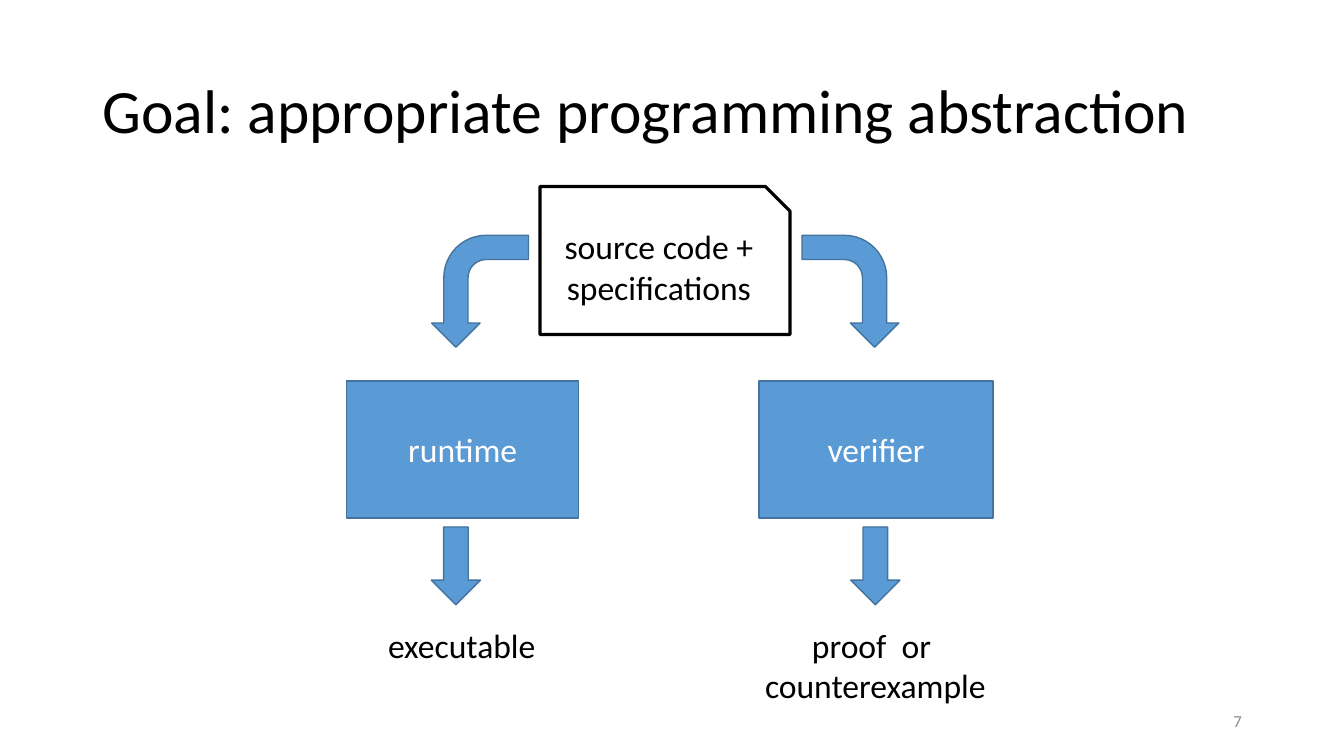
from dataclasses import dataclass

from pptx import Presentation
from pptx.dml.color import RGBColor
from pptx.enum import shapes, text
from pptx.util import Cm, Pt

BLACK, WHITE, GREY = "000000", "FFFFFF", "8C8C8C"
BLUE, DARK_BLUE = "5B9BD5", "43739E"
CENTER, LEFT, RIGHT = text.PP_ALIGN.CENTER, text.PP_ALIGN.LEFT, text.PP_ALIGN.RIGHT
MIDDLE, TOP = text.MSO_ANCHOR.MIDDLE, text.MSO_ANCHOR.TOP
KIND = shapes.MSO_SHAPE


@dataclass(frozen=True)
class Box:
    left: float
    top: float
    width: float
    height: float

    def lengths(self) -> list:
        return [Cm(v) for v in (self.left, self.top, self.width, self.height)]


@dataclass(frozen=True)
class Block:
    kind: int
    box: Box
    words: str = ""
    fill: str = BLUE
    line: str = DARK_BLUE
    line_width: float = 1
    ink: str = WHITE
    rotation: int = 0
    mirrored: bool = False


@dataclass(frozen=True)
class Label:
    box: Box
    words: str
    align: int = CENTER
    anchor: int = TOP
    size: int = 24
    ink: str = BLACK
    wrap: bool = False


def colour(value: str) -> RGBColor:
    return RGBColor.from_string(value)


def apply(target, settings: dict) -> None:
    for name, value in settings.items():
        setattr(target, name, value)


def write(frame, words: str, size: int, ink: str, paragraph_format: dict, frame_format: dict) -> None:
    frame.text = words
    apply(frame, frame_format)
    for paragraph in frame.paragraphs:
        apply(paragraph, paragraph_format)
        for run in paragraph.runs:
            apply(run.font, {"name": "Calibri", "size": Pt(size)})
            run.font.color.rgb = colour(ink)


def draw_block(slide, block: Block) -> None:
    shape = slide.shapes.add_shape(block.kind, *block.box.lengths())
    shape.shadow.inherit = False
    shape.fill.solid()
    shape.fill.fore_color.rgb = colour(block.fill)
    shape.line.color.rgb = colour(block.line)
    shape.line.width = Pt(block.line_width)
    shape.rotation = block.rotation
    if block.mirrored:
        shape.element.spPr.xfrm.set("flipH", "1")
    if block.words:
        write(shape.text_frame, block.words, 24, block.ink,
              {"alignment": CENTER}, {"word_wrap": True, "vertical_anchor": MIDDLE})


def draw_label(slide, label: Label) -> None:
    holder = slide.shapes.add_textbox(*label.box.lengths())
    write(holder.text_frame, label.words, label.size, label.ink,
          {"alignment": label.align},
          {"word_wrap": label.wrap, "vertical_anchor": label.anchor})


def draw_title(slide, words: str, box: Box) -> None:
    title = slide.shapes.title
    apply(title, dict(zip(("left", "top", "width", "height"), box.lengths())))
    write(title.text_frame, words, 44, BLACK,
          {"alignment": LEFT, "line_spacing": 0.9},
          {"word_wrap": True, "vertical_anchor": MIDDLE, "auto_size": text.MSO_AUTO_SIZE.NONE})


BLOCKS = [
    Block(KIND.SNIP_1_RECTANGLE, Box(13.61, 4.7, 6.3, 3.73), "source code + specifications",
          WHITE, BLACK, 2.25, BLACK),
    Block(KIND.RECTANGLE, Box(19.13, 9.6, 5.9, 3.45), "verifier"),
    Block(KIND.RECTANGLE, Box(8.74, 9.6, 5.84, 3.45), "runtime"),
    Block(KIND.BENT_ARROW, Box(20.02, 6.12, 2.82, 2.44), rotation=90),
    Block(KIND.BENT_ARROW, Box(10.69, 6.12, 2.82, 2.44), rotation=270, mirrored=True),
    Block(KIND.DOWN_ARROW, Box(21.44, 13.28, 1.24, 1.96)),
    Block(KIND.DOWN_ARROW, Box(10.87, 13.28, 1.24, 1.96)),
]

LABELS = [
    Label(Box(19, 15.62, 6.12, 2.31), "proof  or \ncounterexample"),
    Label(Box(9.53, 15.62, 4.27, 1.27), "executable", LEFT),
    Label(Box(23.93, 17.65, 7.62, 1.02), "7", RIGHT, MIDDLE, 12, GREY, True),
]


def main() -> None:
    deck = Presentation()
    apply(deck, {"slide_width": Cm(33.87), "slide_height": Cm(19.05)})
    slide = deck.slides.add_slide(deck.slide_layouts[5])
    draw_title(slide, "Goal: appropriate programming abstraction", Box(2.33, 1.02, 29.21, 3.68))
    for block in BLOCKS:
        draw_block(slide, block)
    for label in LABELS:
        draw_label(slide, label)
    deck.save("out.pptx")


if __name__ == "__main__":
    main()
